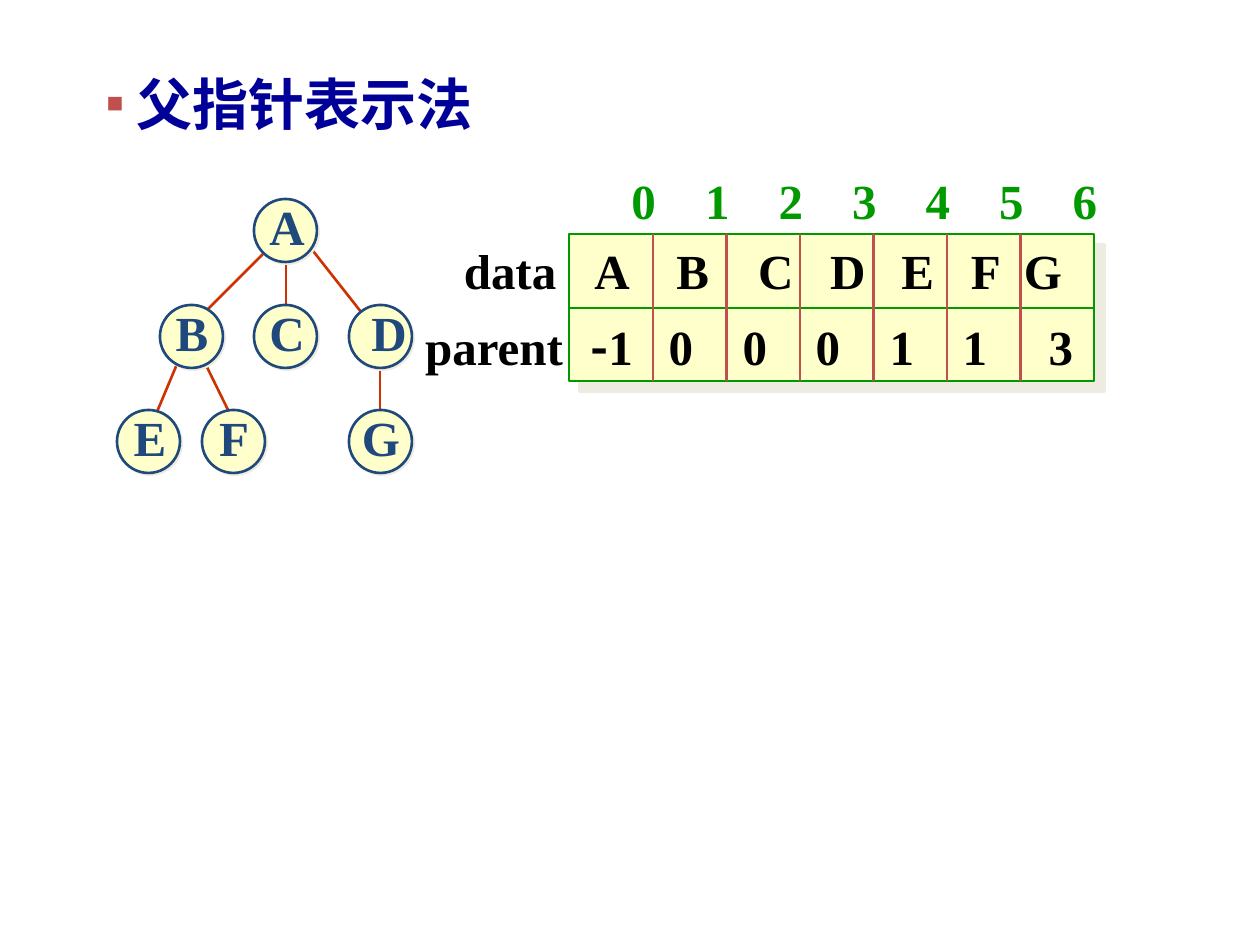
"""Build a slide on the parent-pointer representation of a tree."""
from lxml.etree import SubElement
from pptx import Presentation
from pptx.dml.color import RGBColor
from pptx.enum.shapes import MSO_CONNECTOR as Connector, MSO_SHAPE as Shape
from pptx.enum.text import MSO_ANCHOR as Anchor, MSO_AUTO_SIZE as AutoSize, PP_ALIGN as Align
from pptx.oxml.ns import qn
from pptx.util import Pt

PX = 914400 / 126
SERIF, SANS = "Times New Roman", "Noto Sans CJK SC"
COLORS = {
    "title": "000099", "bullet": "C0504D", "edge": "CC3300", "node": "1F497D",
    "fill": "FFFFCC", "frame": "009900", "divider": "C0504D", "ink": "000000",
    "shadow": "EEECE1",
}

deck = Presentation()
deck.slide_width, deck.slide_height = round(1260 * PX), round(945 * PX)
page = deck.slides.add_slide(deck.slide_layouts[5])


def add_line(ends, color):
    line = page.shapes.add_connector(Connector.STRAIGHT, *[round(v * PX) for v in ends])
    line.line.color.rgb = RGBColor.from_string(COLORS[color])
    line.line.width = Pt(1.5)
    SubElement(line._element.spPr, qn("a:effectLst"))


def add_text(place, parts, color, align=Align.CENTER, tabs=()):
    box = page.shapes.add_textbox(*[round(v * PX) for v in place])
    frame = box.text_frame
    frame.word_wrap = bool(tabs)
    frame.vertical_anchor = Anchor.MIDDLE
    para = frame.paragraphs[0]
    para.alignment = align
    if tabs:
        stops = SubElement(para._p.get_or_add_pPr(), qn("a:tabLst"))
        for center in tabs:
            offset = round((center - place[0]) * PX - frame.margin_left)
            SubElement(stops, qn("a:tab"), pos=str(offset), algn="ctr")
    for text, font in parts:
        span = para.add_run()
        span.text = text
        span.font.name, span.font.size, span.font.bold = font, Pt(28), True
        span.font.color.rgb = RGBColor.from_string(COLORS[color])


title = page.shapes.title
title.left, title.top, title.width, title.height = [round(v * PX) for v in (94, 63, 525, 81)]
title.text_frame.text = "父指针表示法"
title.text_frame.auto_size = AutoSize.NONE
title.text_frame.vertical_anchor = Anchor.MIDDLE
heading = title.text_frame.paragraphs[0]
heading.alignment = Align.LEFT
props = heading._p.get_or_add_pPr()
props.set("marL", str(round(30 * PX)))
props.set("indent", str(round(-30 * PX)))
SubElement(SubElement(props, qn("a:buClr")), qn("a:srgbClr"), val=COLORS["bullet"])
SubElement(props, qn("a:buSzPct"), val="50000")
SubElement(props, qn("a:buFont"), typeface=SERIF)
SubElement(props, qn("a:buChar"), char="■")
span = heading.runs[0]
span.font.name, span.font.size, span.font.bold = SERIF, Pt(32), True
span.font.color.rgb = RGBColor.from_string(COLORS["title"])
SubElement(span.font._element, qn("a:ea"), typeface=SANS)

edges = [
    (380, 357, 380, 431), (306, 242, 380, 336), (202, 357, 233, 420),
    (180, 357, 149, 431), (265, 252, 202, 315), (286, 252, 286, 315),
]
for ends in edges:
    add_line(ends, "edge")

nodes = {
    "A": (254, 199, 287), "B": (160, 305, 192), "C": (254, 305, 287), "D": (349, 305, 389),
    "E": (117, 410, 150), "F": (202, 410, 234), "G": (349, 410, 381),
}
outlines = [(Shape.OVAL, (left, top, 63, 63), "node", 1.4) for left, top, _ in nodes.values()]
outlines.append((Shape.RECTANGLE, (569, 234, 525, 147), "frame", 8.5))
for kind, place, color, distance in outlines:
    shape = page.shapes.add_shape(kind, *[round(v * PX) for v in place])
    shape.fill.solid()
    shape.fill.fore_color.rgb = RGBColor.from_string(COLORS["fill"])
    shape.line.color.rgb = RGBColor.from_string(COLORS[color])
    shape.line.width = Pt(1.5)
    shape.shadow.inherit = False
    effects = shape._element.spPr.find(qn("a:effectLst"))
    shadow = SubElement(effects, qn("a:outerShdw"), dist=str(Pt(distance)),
                        dir="2700000", algn="ctr", rotWithShape="0")
    SubElement(shadow, qn("a:srgbClr"), val=COLORS["shadow"])

for name, (_, top, center) in nodes.items():
    add_text((center - 32, top - 9, 64, 72), [(name, SERIF)], "node")

add_line((569, 308, 1094, 308), "frame")
for column in range(6):
    x = 653 + column * 147 / 2
    add_line((x, 234, x, 381), "divider")

add_text((445, 234, 130, 72), [("data", SERIF)], "ink")
add_text((409, 310, 170, 72), [("parent", SERIF)], "ink")
add_text((582, 234, 512, 72), [("A\tB\tC\tD\tE\tF\tG", SERIF)], "ink", Align.LEFT,
         (693, 776, 848, 918, 986, 1043))
add_text((578, 310, 516, 72), [("-", SANS), ("1\t0\t0\t0\t1\t1\t3", SERIF)], "ink", Align.LEFT,
         (681, 755, 828, 902, 975, 1061))
add_text((619, 164, 510, 72), [("0\t1\t2\t3\t4\t5\t6", SERIF)], "frame", Align.LEFT,
         [644 + step * 147 / 2 for step in range(1, 7)])

deck.save("out.pptx")
